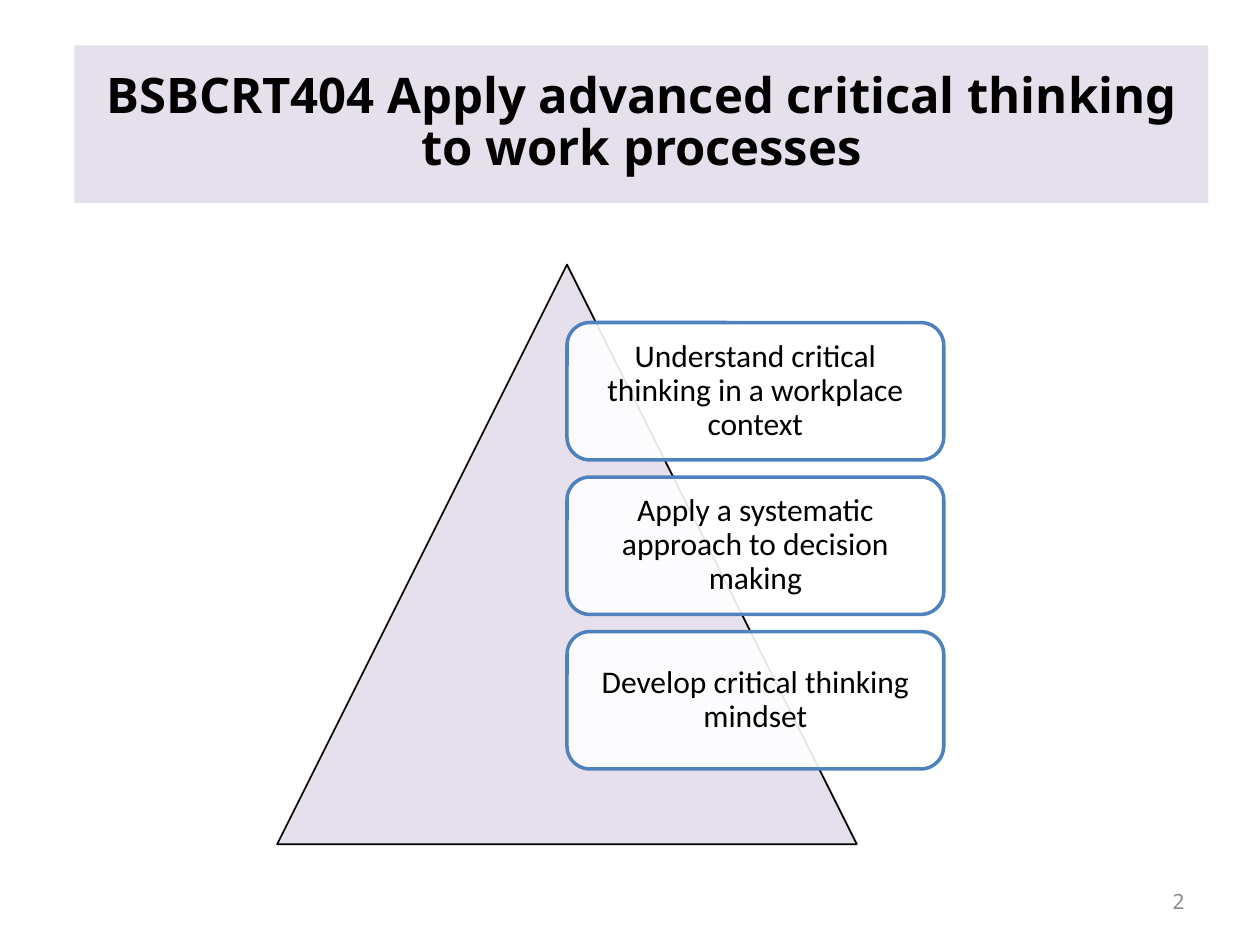
import pptx
import pptx.util
import pptx.dml.color
import pptx.enum.shapes
import pptx.enum.text
import lxml.etree
from pptx.oxml.ns import qn
from pptx.util import Inches

COLORS = {"lilac": "E6E0EC", "black": "000000", "white": "FFFFFF",
          "blue": "4F81BD", "grey": "8C8C8C"}
SHAPES = pptx.enum.shapes.MSO_SHAPE
ALIGN = pptx.enum.text.PP_ALIGN
MIDDLE = pptx.enum.text.MSO_ANCHOR.MIDDLE

ELEMENTS = ["Understand critical thinking in a workplace context",
            "Apply a systematic approach to decision making",
            "Develop critical thinking mindset"]


def rgb(name):
    """Return the named palette colour."""
    return pptx.dml.color.RGBColor.from_string(COLORS[name])


def format_paragraph(paragraph, font, size, color, align, bold=False):
    """Set the font and alignment of a paragraph."""
    paragraph.alignment = align
    paragraph.font.name = font
    paragraph.font.size = pptx.util.Pt(size)
    paragraph.font.bold = bold
    paragraph.font.color.rgb = rgb(color)


def place_title(slide, left, top, width, height, text):
    """Place the unit title on its tinted band."""
    title = slide.shapes.title
    title.left, title.top, title.width, title.height = map(
        Inches, (left, top, width, height))
    title.fill.solid()
    title.fill.fore_color.rgb = rgb("lilac")
    frame = title.text_frame
    frame.text = text
    frame.word_wrap = True
    frame.auto_size = pptx.enum.text.MSO_AUTO_SIZE.NONE
    frame.vertical_anchor = MIDDLE
    paragraph = frame.paragraphs[0]
    paragraph.line_spacing = 0.88
    format_paragraph(paragraph, "Noto Sans", 28, "black", ALIGN.CENTER, True)


def add_outlined(slide, kind, box, fill, line, line_width):
    """Add a filled and outlined preset shape."""
    shape = slide.shapes.add_shape(kind, *map(Inches, box))
    shape.shadow.inherit = False
    shape.fill.solid()
    shape.fill.fore_color.rgb = rgb(fill)
    shape.line.color.rgb = rgb(line)
    shape.line.width = pptx.util.Pt(line_width)
    return shape


def add_element_card(slide, box, text):
    """Add a translucent rounded card holding one element."""
    card = add_outlined(slide, SHAPES.ROUNDED_RECTANGLE, box, "white", "blue", 2)
    fill_color = card.element.spPr.find(qn("a:solidFill"))[0]
    lxml.etree.SubElement(fill_color, qn("a:alpha"), val="90000")
    frame = card.text_frame
    frame.word_wrap = True
    frame.vertical_anchor = MIDDLE
    # The rounded corner adds its own 0.05 inch inset.
    frame.margin_left = frame.margin_right = Inches(0.07)
    frame.margin_top = frame.margin_bottom = Inches(0.07)
    frame.text = text
    paragraph = frame.paragraphs[0]
    paragraph.line_spacing = 0.9
    format_paragraph(paragraph, "Calibri", 18, "black", ALIGN.CENTER)


def add_pyramid(slide, left, top, side, elements):
    """Draw the triangle with element cards stacked from its axis."""
    add_outlined(slide, SHAPES.ISOSCELES_TRIANGLE, (left, top, side, side),
                 "lilac", "black", 1)
    card_width, card_height = side * 0.65, 1.09
    pitch = card_height * 1.125
    for index, element in enumerate(elements):
        card_top = top + side / 10 + index * pitch
        add_element_card(
            slide, (left + side / 2, card_top, card_width, card_height), element)


def add_slide_number(slide, left, top, width, height, number):
    """Add the slide number as a live field."""
    footer = slide.shapes.add_textbox(*map(Inches, (left, top, width, height)))
    frame = footer.text_frame
    frame.word_wrap = True
    frame.vertical_anchor = MIDDLE
    paragraph = frame.paragraphs[0]
    field = lxml.etree.SubElement(
        paragraph._p, qn("a:fld"), type="slidenum",
        id="{B6F15528-21DE-4FAA-801E-634DDDAF4B2B}")
    properties = lxml.etree.SubElement(field, qn("a:rPr"), lang="en-US", sz="1200")
    fill = lxml.etree.SubElement(properties, qn("a:solidFill"))
    lxml.etree.SubElement(fill, qn("a:srgbClr"), val=COLORS["grey"])
    lxml.etree.SubElement(properties, qn("a:latin"), typeface="Noto Sans")
    lxml.etree.SubElement(field, qn("a:t")).text = str(number)
    paragraph.alignment = ALIGN.RIGHT


def main():
    """Build and save the slide."""
    deck = pptx.Presentation()
    deck.slide_width, deck.slide_height = Inches(10), Inches(7.5)
    deck.element.set("firstSlideNum", "2")
    slide = deck.slides.add_slide(deck.slide_layouts[5])
    place_title(slide, 0.59, 0.36, 9, 1.25,
                "BSBCRT404 Apply advanced critical thinking to work processes")
    add_pyramid(slide, 2.2, 2.1, 4.6, ELEMENTS)
    add_slide_number(slide, 7.17, 6.95, 2.33, 0.4, 2)
    deck.save("out.pptx")


main()
